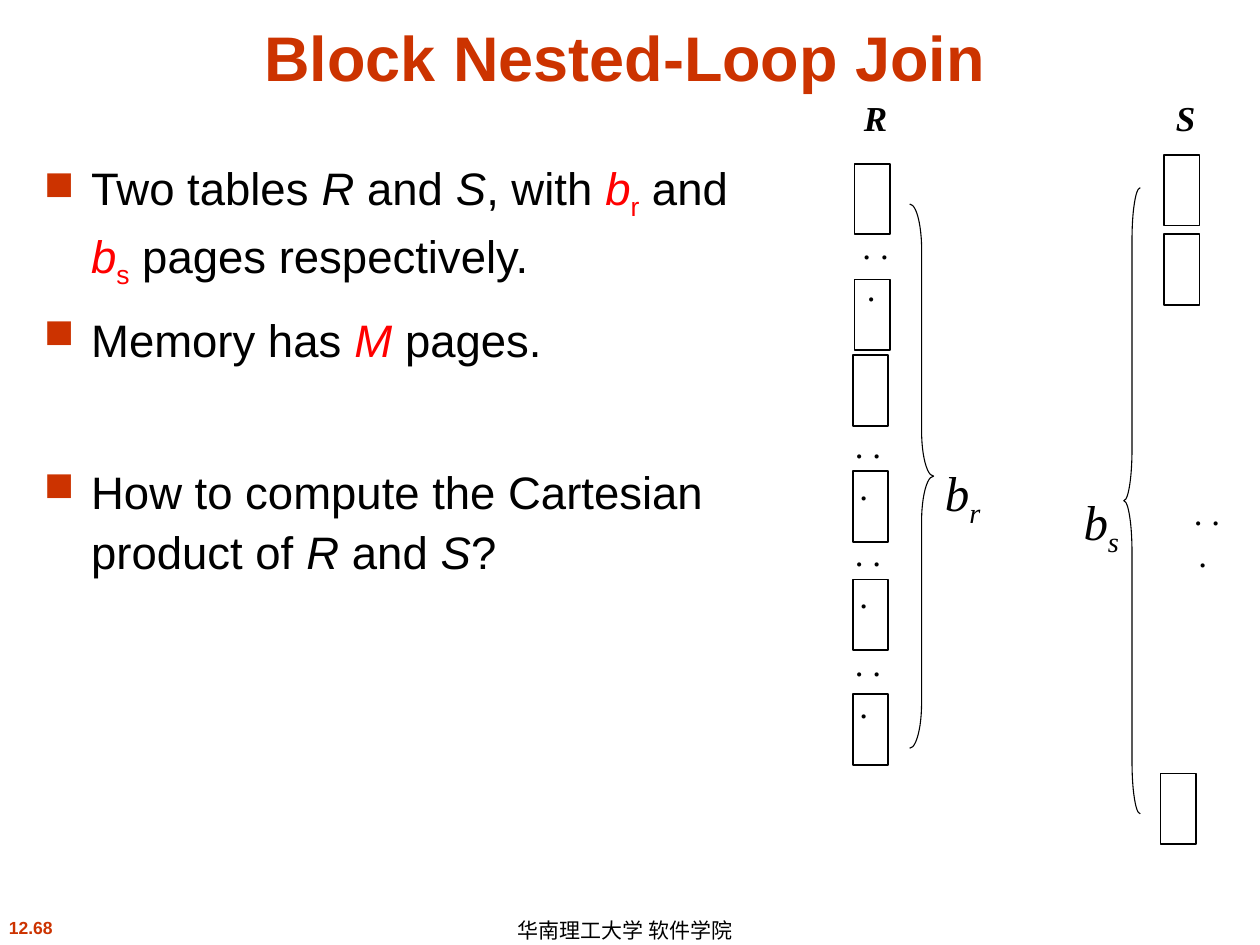
from dataclasses import dataclass

from lxml.etree import SubElement
from pptx import Presentation
from pptx.dml.color import RGBColor
from pptx.enum.shapes import MSO_SHAPE
from pptx.enum.text import MSO_ANCHOR, PP_ALIGN
from pptx.oxml.ns import qn
from pptx.util import Pt

COLORS = {"accent": "CC3300", "red": "FF0000", "black": "000000", "white": "FFFFFF"}
SERIF = "Times New Roman"
PAGE_WIDTH, PAGE_HEIGHT = 20.2, 40.3


@dataclass
class Span:
    text: str
    italic: bool = False
    color: str = "black"
    subscript: bool = False


@dataclass
class Label:
    left: float
    top: float
    width: float
    height: float
    spans: list[Span]
    size: float
    font: str = "Arial"
    bold: bool = False
    wrap: bool = False
    align: PP_ALIGN = PP_ALIGN.CENTER
    anchor: MSO_ANCHOR = MSO_ANCHOR.TOP
    inset: tuple[float, float] = (0, 0)
    line_spacing: float = 1.0


@dataclass
class Bullet:
    spans: list[Span]
    space_before: float


@dataclass
class Brace:
    kind: MSO_SHAPE
    left: float
    top: float
    width: float
    height: float
    curve: float


def rgb(name: str) -> RGBColor:
    return RGBColor.from_string(COLORS[name])


def add_spans(paragraph, spans: list[Span]) -> None:
    for span in spans:
        run = paragraph.add_run()
        run.text = span.text
        run.font.color.rgb = rgb(span.color)
        if span.italic:
            run.font.italic = True
        if span.subscript:
            run._r.get_or_add_rPr().set("baseline", "-25000")


def add_frame(slide, left, top, width, height, inset=(7.2, 3.6)):
    shape = slide.shapes.add_textbox(Pt(left), Pt(top), Pt(width), Pt(height))
    frame = shape.text_frame
    frame.margin_left = frame.margin_right = Pt(inset[0])
    frame.margin_top = frame.margin_bottom = Pt(inset[1])
    return frame


def add_label(slide, label: Label) -> None:
    frame = add_frame(slide, label.left, label.top, label.width, label.height, label.inset)
    frame.word_wrap = label.wrap
    frame.vertical_anchor = label.anchor
    paragraph = frame.paragraphs[0]
    paragraph.alignment = label.align
    paragraph.line_spacing = label.line_spacing
    paragraph.font.size = Pt(label.size)
    paragraph.font.name = label.font
    paragraph.font.bold = label.bold
    add_spans(paragraph, label.spans)


def add_bullets(slide, bullets: list[Bullet]) -> None:
    frame = add_frame(slide, 18, 84.2, 405.4, 414)
    frame.word_wrap = True
    for index, bullet in enumerate(bullets):
        paragraph = frame.add_paragraph() if index else frame.paragraphs[0]
        paragraph.line_spacing = 1.1
        paragraph.space_before = Pt(bullet.space_before)
        properties = paragraph._p.get_or_add_pPr()
        properties.set("marL", str(Pt(27)))
        properties.set("indent", str(-Pt(27)))
        bullet_color = SubElement(properties, qn("a:buClr"))
        SubElement(bullet_color, qn("a:srgbClr"), val=COLORS["accent"])
        SubElement(properties, qn("a:buSzPct"), val="90000")
        SubElement(properties, qn("a:buChar"), char="■")
        paragraph.font.size = Pt(26)
        paragraph.font.name = "Arial"
        add_spans(paragraph, bullet.spans)


def add_page(slide, left: float, top: float) -> None:
    shape = slide.shapes.add_shape(
        MSO_SHAPE.RECTANGLE, Pt(left), Pt(top), Pt(PAGE_WIDTH), Pt(PAGE_HEIGHT))
    shape.shadow.inherit = False
    shape.fill.solid()
    shape.fill.fore_color.rgb = rgb("white")
    shape.line.color.rgb = rgb("black")
    shape.line.width = Pt(1)


def add_brace(slide, brace: Brace) -> None:
    shape = slide.shapes.add_shape(
        brace.kind, Pt(brace.left), Pt(brace.top), Pt(brace.width), Pt(brace.height))
    shape.adjustments[0] = brace.curve
    shape.shadow.inherit = False
    shape.fill.background()
    shape.line.color.rgb = rgb("black")
    shape.line.width = Pt(0.63)


def page_count(left: float, top: float, table: str) -> Label:
    spans = [Span("b", italic=True), Span(table, italic=True, subscript=True)]
    return Label(left, top, 21.6, 33.8, spans, 28, SERIF)


def table_name(left: float, width: float, name: str) -> Label:
    return Label(left, 55.4, width, 24.5, [Span(name, italic=True)], 20, SERIF, bold=True)


TITLE = Label(18, 9.4, 678.2, 48.2, [Span("Block Nested-Loop Join", color="accent")], 36,
              bold=True, wrap=True, anchor=MSO_ANCHOR.BOTTOM, inset=(7.2, 3.6))
PAGE_NUMBER = Label(-2.9, 520.6, 41, 19.4, [Span("12.68", color="accent")], 10,
                    bold=True, inset=(7.2, 3.6))
FOOTER = Label(288.7, 522, 161.3, 18, [Span("华南理工大学 软件学院")], 12, align=PP_ALIGN.LEFT,
               anchor=MSO_ANCHOR.MIDDLE, inset=(7.2, 3.6), line_spacing=1.1)

BULLETS = [
    Bullet([Span("Two tables "), Span("R", True), Span(" and "), Span("S", True),
            Span(", with "), Span("b", True, "red"), Span("r", False, "red", True),
            Span(" and "), Span("b", True, "red"), Span("s", False, "red", True),
            Span(" pages respectively.")], 0),
    Bullet([Span("Memory has "), Span("M", True, "red"), Span(" pages.")], 9.1),
    Bullet([Span("How to compute the Cartesian product of "), Span("R", True),
            Span(" and "), Span("S", True), Span("?")], 53),
]

# Tops of the pages, by left edge
PAGES = {
    488.2: [93.6, 159.8],
    487.4: [203, 269.3, 331.2, 396.7],
    665.3: [88.6, 133.9],
    663.1: [442.1],
}
ELLIPSES = [(483.1, 128.2), (478.8, 241.9), (478.8, 303.8), (478.8, 366.5), (672.5, 280.1)]
BRACES = [
    Brace(MSO_SHAPE.RIGHT_BRACE, 519.8, 116.6, 13.7, 311, 1.9),
    Brace(MSO_SHAPE.LEFT_BRACE, 642.2, 107.3, 9.4, 357.8, 3.15),
]


def main() -> None:
    presentation = Presentation()
    presentation.slide_width, presentation.slide_height = Pt(720), Pt(540)
    slide = presentation.slides.add_slide(presentation.slide_layouts[6])

    # Title, footer and body text
    for label in (PAGE_NUMBER, FOOTER, TITLE):
        add_label(slide, label)
    add_bullets(slide, BULLETS)

    # Pages of the two tables
    for left, tops in PAGES.items():
        for top in tops:
            add_page(slide, left, top)
    for left, top in ELLIPSES:
        add_label(slide, Label(left, top, 29.6, 23.8, [Span(" . . .")], 20, SERIF, wrap=True))

    # Braces, page counts and table names
    for brace in BRACES:
        add_brace(slide, brace)
    for label in (page_count(539.3, 264.2, "r"), page_count(618.5, 280.8, "s"),
                  table_name(492.5, 15.8, "R"), table_name(671.8, 11.5, "S")):
        add_label(slide, label)

    presentation.save("out.pptx")


if __name__ == "__main__":
    main()
